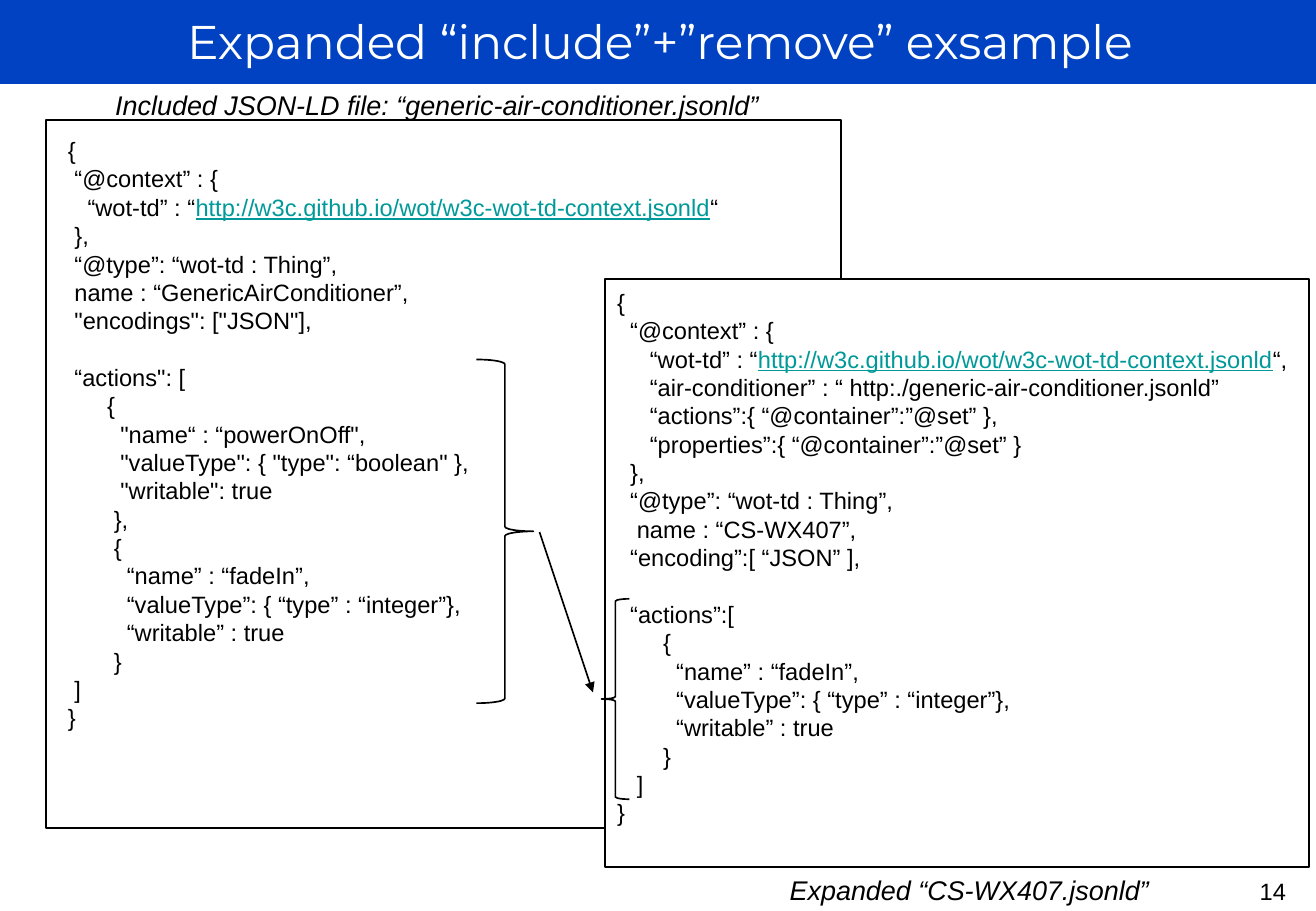
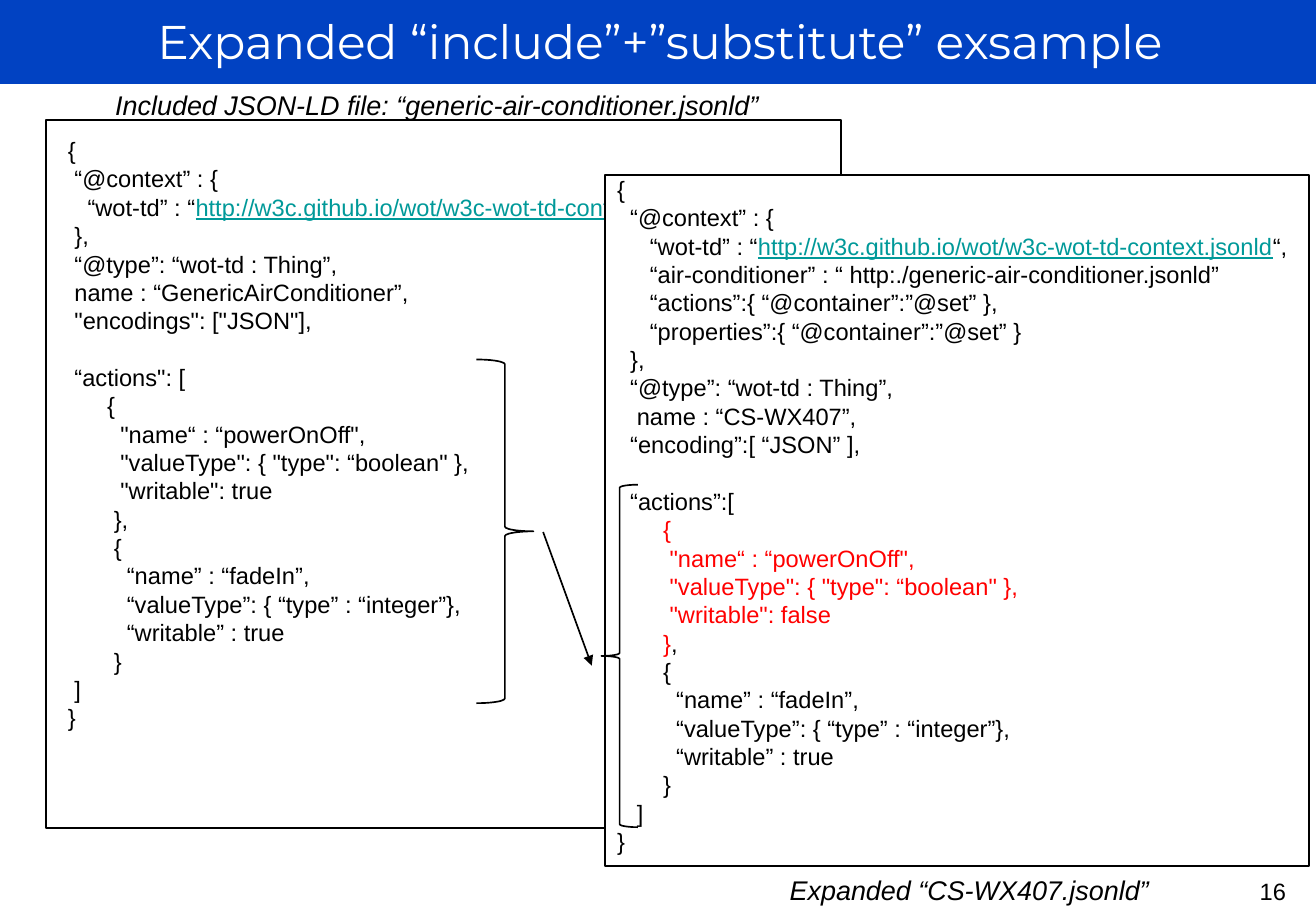
from pptx import Presentation
from pptx.dml.color import RGBColor
from pptx.enum import shapes, text
from pptx.oxml.ns import qn
from pptx.util import Inches, Pt
from lxml import etree

BLUE = RGBColor(0x01, 0x42, 0xC2)
WHITE = RGBColor(0xFF, 0xFF, 0xFF)
BLACK = RGBColor(0, 0, 0)
TEAL = RGBColor(0x00, 0x99, 0x99)
RED = RGBColor(0xFF, 0, 0)
SLIDE_W, SLIDE_H = 10.83, 7.5
URL = "http://w3c.github.io/wot/w3c-wot-td-context.jsonld"

GENERIC_CODE = [
    "{",
    " “@context” : {",
    [("   “wot-td” : “", BLACK), (URL, TEAL), ("“", BLACK)],
    " },",
    " “@type”: “wot-td : Thing”,",
    " name : “GenericAirConditioner”,",
    ' "encodings": ["JSON"],',
    " ",
    ' “actions": [',
    "      {",
    '        "name“ : “powerOnOff",',
    '        "valueType": { "type": “boolean" },',
    '        "writable": true',
    "       },",
    "       {",
    "         “name” : “fadeIn”,",
    "         “valueType”: { “type” : “integer”},",
    "         “writable” : true",
    "       }",
    " ]",
    "}",
]
EXPANDED_HEAD = [
    "{",
    "  “@context” : {",
    [("     “wot-td” : “", BLACK), (URL, TEAL), ("“,", BLACK)],
    "     “air-conditioner” : “ http:./generic-air-conditioner.jsonld”",
    "     “actions”:{ “@container”:”@set” },",
    "     “properties”:{ “@container”:”@set” }",
    "  },",
    "  “@type”: “wot-td : Thing”,",
    "   name : “CS-WX407”,",
    "  “encoding”:[ “JSON” ],",
    " ",
    "  “actions”:[",
]
SUBSTITUTED_ACTION = [
    [("       {", RED)],
    [('        "name“ : “powerOnOff",', RED)],
    [('        "valueType": { "type": “boolean" },', RED)],
    [('        "writable": false', RED)],
    [("       }", RED), (",", BLACK)],
]
EXPANDED_TAIL = [
    "       {",
    "         “name” : “fadeIn”,",
    "         “valueType”: { “type” : “integer”},",
    "         “writable” : true",
    "       }",
    "   ]",
    "}",
]


def add_shape(s, kind, box, fill=None, line=None):
    sp = s.shapes.add_shape(kind, *map(Inches, box))
    sp.shadow.inherit = False
    if fill is None:
        sp.fill.background()
    else:
        sp.fill.solid()
        sp.fill.fore_color.rgb = fill
    if line is None:
        sp.line.fill.background()
    else:
        sp.line.color.rgb = line
        sp.line.width = Pt(1)
    return sp


def add_text(s, box, lines, size=14, color=BLACK, font="Arial",
             italic=False, center=False, wrap=True):
    tf = s.shapes.add_textbox(*map(Inches, box)).text_frame
    tf.word_wrap = wrap
    for i, line in enumerate(lines):
        p = tf.add_paragraph() if i else tf.paragraphs[0]
        p.alignment = text.PP_ALIGN.CENTER if center else text.PP_ALIGN.LEFT
        for words, tint in [(line, color)] if isinstance(line, str) else line:
            r = p.add_run()
            r.text = words
            r.font.size = Pt(size)
            r.font.name = font
            r.font.italic = italic
            r.font.underline = tint == TEAL
            r.font.color.rgb = tint


def add_arrow(s, start, end):
    c = s.shapes.add_connector(shapes.MSO_CONNECTOR.STRAIGHT,
                               *map(Inches, start + end))
    c.line.color.rgb = BLACK
    c.line.width = Pt(1)
    ln = c.line._get_or_add_ln()
    etree.SubElement(ln, qn("a:tailEnd"), type="triangle")
    etree.SubElement(c._element.spPr, qn("a:effectLst"))


def add_brace(s, box, flip=False):
    sp = add_shape(s, shapes.MSO_SHAPE.RIGHT_BRACE, box, line=BLACK)
    if flip:
        sp._element.spPr.find(qn("a:xfrm")).set("flipH", "1")


def add_frame(s, title, number):
    add_shape(s, shapes.MSO_SHAPE.RECTANGLE, (0, -0.03, SLIDE_W, 0.72), BLUE)
    add_text(s, (10.02, 7.17, 0.91, 0.52), [str(number)], center=True)
    add_text(s, (0.02, 0.05, 10.82, 0.57), [title], 28, WHITE, "Montserrat",
             center=True)


def add_generic_panel(s, x, y):
    add_shape(s, shapes.MSO_SHAPE.RECTANGLE, (x, y, 6.54, 5.83), WHITE, BLACK)
    add_text(s, (x + 0.47, y - 0.31, 5.56, 0.37),
             ["Included JSON-LD file: “generic-air-conditioner.jsonld”"],
             16, italic=True, wrap=False)
    add_text(s, (x + 0.08, y + 0.08, 5.59, 5.05), GENERIC_CODE)
    add_brace(s, (x + 3.54, y + 1.97, 0.47, 2.83))


def add_expanded_panel(s, box, text_dy, code):
    x, y, w, h = box
    add_shape(s, shapes.MSO_SHAPE.RECTANGLE, box, WHITE, BLACK)
    add_text(s, (x, y + text_dy, w, h), code)
    add_text(s, (x + 1.42, 7.14, 3.19, 0.37), ["Expanded “CS-WX407.jsonld”"],
             16, italic=True, wrap=False)


def add_example(prs, title, number, panel, text_dy, code, brace, arrow):
    s = prs.slides.add_slide(prs.slide_layouts[6])
    add_frame(s, title, number)
    add_generic_panel(s, 0.38, 0.99)
    add_expanded_panel(s, panel, text_dy, code)
    add_arrow(s, *arrow)
    add_brace(s, brace, flip=True)


def main():
    prs = Presentation()
    prs.slide_width, prs.slide_height = Inches(SLIDE_W), Inches(SLIDE_H)
    add_example(prs, "Expanded “include”+”remove” exsample", 14,
                (4.98, 2.3, 5.79, 4.84), 0.02, EXPANDED_HEAD + EXPANDED_TAIL,
                (4.95, 4.93, 0.23, 1.65), ((4.44, 4.38), (4.88, 5.7)))
    add_example(prs, "Expanded “include”+”substitute” exsample", 16,
                (4.98, 1.44, 5.79, 5.69), -0.05,
                EXPANDED_HEAD + SUBSTITUTED_ACTION + EXPANDED_TAIL,
                (4.95, 3.99, 0.3, 2.82), ((4.47, 4.38), (4.87, 5.48)))
    prs.save("out.pptx")


if __name__ == "__main__":
    main()
